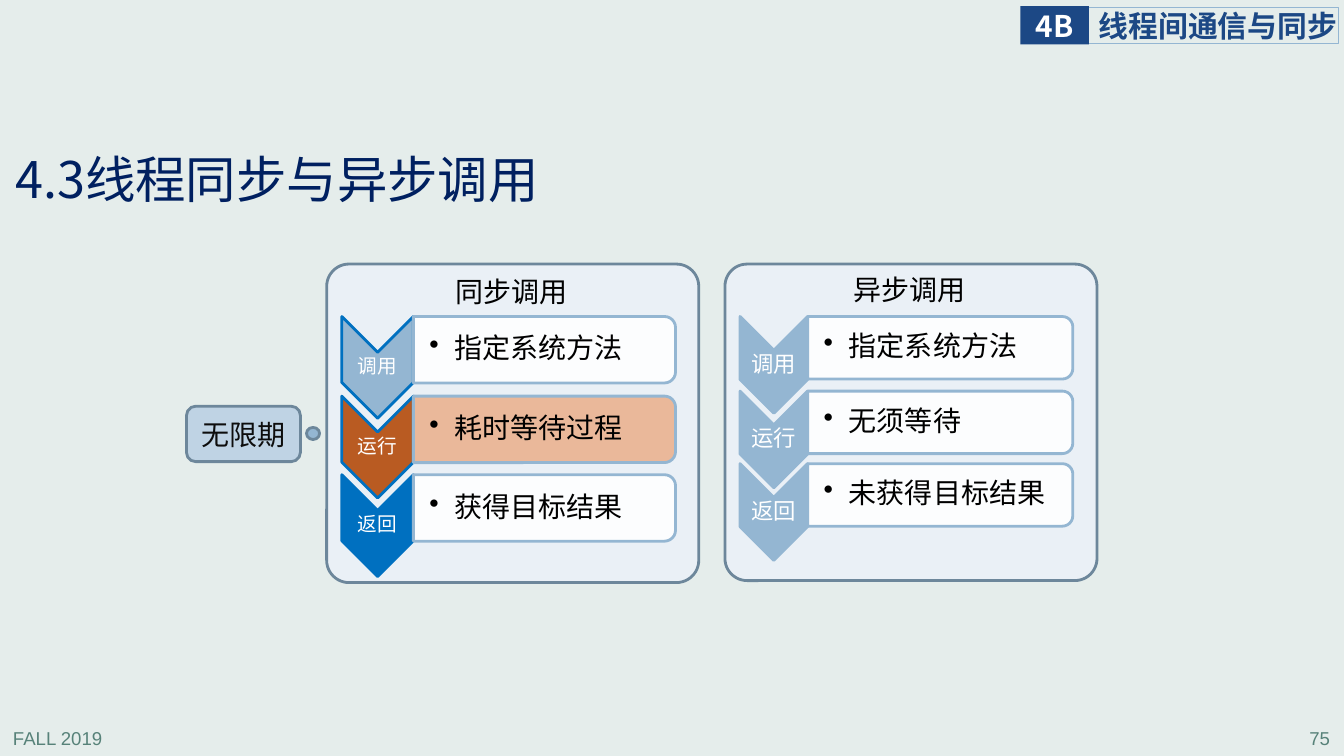
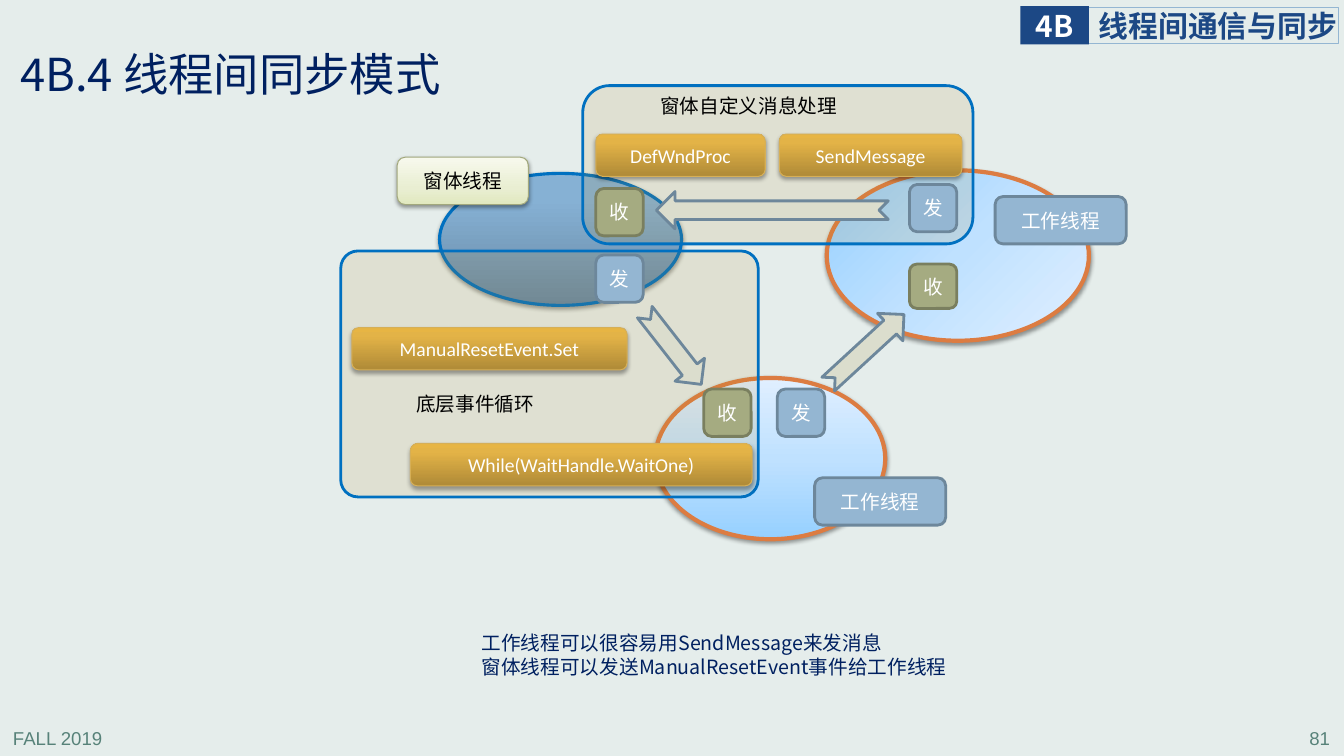
from lxml import etree
from pptx import Presentation
from pptx.dml.color import RGBColor
from pptx.enum.shapes import MSO_SHAPE
from pptx.enum.text import MSO_ANCHOR, MSO_AUTO_SIZE, PP_ALIGN
from pptx.oxml import parse_xml
from pptx.oxml.ns import nsdecls, qn
from pptx.util import Inches, Pt

# Shared colours and fonts
BACKGROUND, NAVY, TITLE, FOOTER = "E5EDEB", "1C4885", "002060", "578279"
SKY, SLATE, BLUE, ORANGE = "94B6D2", "6D879B", "0070C0", "DC7C42"
OLIVE, OLIVE_EDGE, SAND, TAN = "A5AB81", "7A7F5F", "DBDDCD", "BA8F2D"
PANEL, WHITE, BLACK = "EAF0F6", "FFFFFF", "000000"
CJK = "Noto Sans CJK SC"

# Gradients run upwards: (position, colour)
GOLD_STOPS = [(0, "AF8A37"), (80, "E3B347"), (100, "E7B544")]
STEEL_STOPS = [(0, "6788A4"), (80, "86B1D4"), (100, "86B2D7")]
ICE_STOPS = [(0, "96D0FF"), (50, "BFE1FF"), (100, "E0EFFF")]
CREAM_STOPS = [(0, "E1E8BF"), (35, "E9EED2"), (100, "F7F9ED")]
UPWARD = '<a:lin ang="16200000" scaled="0"/>'
FROM_CORNER = '<a:path path="circle"><a:fillToRect r="100000" b="100000"/></a:path>'


def rgb(value):
    return RGBColor.from_string(value)


# Basic elements
def write(sp, text, size, color, font=CJK, bold=False, align=PP_ALIGN.LEFT,
          anchor=MSO_ANCHOR.TOP, insets=(0.1, 0.05, 0.1, 0.05), wrap=True,
          spacing=None):
    tf = sp.text_frame
    tf.text = text
    tf.word_wrap = wrap
    tf.auto_size = MSO_AUTO_SIZE.NONE
    tf.vertical_anchor = anchor
    tf.margin_left, tf.margin_top, tf.margin_right, tf.margin_bottom = map(Inches, insets)
    for p in tf.paragraphs:
        p.alignment = align
        if spacing:
            p.line_spacing = spacing
        for r in p.runs:
            r.font.size, r.font.bold = Pt(size), bold
            r.font.color.rgb = rgb(color)
            r.font.name = font
            etree.SubElement(r.font._element, qn("a:ea"), typeface=CJK)


def add_text(s, box, text, size, color, **style):
    sp = s.shapes.add_textbox(*map(Inches, box))
    write(sp, text, size, color, **style)
    return sp


def add_block(s, kind, box, fill=None, line=None, width=2, opacity=None, adj=None, turn=0):
    sp = s.shapes.add_shape(kind, *map(Inches, box))
    sp.shadow.inherit = False
    sp.rotation = turn
    if adj is not None:
        sp.adjustments[0] = adj
    if fill:
        sp.fill.solid()
        sp.fill.fore_color.rgb = rgb(fill)
    else:
        sp.fill.background()
    if opacity is not None:
        clr = sp._element.spPr.find(qn("a:solidFill")).find(qn("a:srgbClr"))
        etree.SubElement(clr, qn("a:alpha"), val=str(opacity * 1000))
    if line:
        sp.line.color.rgb = rgb(line)
        sp.line.width = Pt(width)
    else:
        sp.line.fill.background()
    return sp


def add_quarter_turned(s, kind, box, **style):
    """Place a shape turned by 90 degrees so that it covers box."""
    x, y, w, h = box
    return add_block(s, kind, (x + (w - h) / 2, y + (h - w) / 2, h, w), turn=90, **style)


def add_gradient(sp, stops, direction=UPWARD):
    stop_xml = "".join(f'<a:gs pos="{pos * 1000}"><a:srgbClr val="{color}"/></a:gs>'
                       for pos, color in stops)
    grad = parse_xml(f'<a:gradFill {nsdecls("a")} rotWithShape="1">'
                     f'<a:gsLst>{stop_xml}</a:gsLst>{direction}</a:gradFill>')
    spPr = sp._element.spPr
    spPr.replace(spPr.find(qn("a:noFill")), grad)


def add_shadow(sp, opacity, dist):
    effects = sp._element.spPr.find(qn("a:effectLst"))
    effects.append(parse_xml(
        f'<a:outerShdw {nsdecls("a")} blurRad="{Pt(3.1)}" dist="{Pt(dist)}" dir="5400000" '
        f'rotWithShape="0"><a:srgbClr val="{BLACK}"><a:alpha val="{opacity * 1000}"/>'
        '</a:srgbClr></a:outerShdw>'))


def add_label(s, box, text, fill=SKY, line=SLATE, size=14, color=WHITE, font=CJK, width=2):
    sp = add_block(s, MSO_SHAPE.ROUNDED_RECTANGLE, box, fill, line, width)
    write(sp, text, size, color, font=font, align=PP_ALIGN.CENTER, anchor=MSO_ANCHOR.MIDDLE)
    return sp


# Title, header band and footer of every slide
def start_slide(prs, title, title_box, title_size, page):
    s = prs.slides.add_slide(prs.slide_layouts[5])
    ph = s.shapes.title
    ph.left, ph.top, ph.width, ph.height = map(Inches, title_box)
    write(ph, title, title_size, TITLE, anchor=MSO_ANCHOR.MIDDLE,
          insets=(0.08, 0.04, 0.08, 0.04), spacing=0.9)
    add_text(s, (0.03, 7.16, 2.78, 0.31), "FALL 2019", 13.3, FOOTER, font="Arial")
    add_text(s, (10.51, 7.16, 2.78, 0.31), page, 13.3, FOOTER, font="Arial",
             align=PP_ALIGN.RIGHT)
    chapter = add_block(s, MSO_SHAPE.RECTANGLE, (10.78, 0.07, 2.5, 0.36), line=SKY, width=0.75)
    write(chapter, "线程间通信与同步", 21.3, NAVY, bold=True,
          anchor=MSO_ANCHOR.MIDDLE, insets=(0.12, 0, 0, 0))
    number = add_block(s, MSO_SHAPE.RECTANGLE, (10.12, 0.06, 0.68, 0.38), NAVY)
    write(number, "4B", 21.3, WHITE, bold=True, align=PP_ALIGN.CENTER,
          anchor=MSO_ANCHOR.MIDDLE, insets=(0, 0, 0, 0), wrap=False)
    return s


# Slide 1: a panel with chevron steps
def add_step(s, x, y, chevron, bar, name, detail, size, font, fill, line, bar_fill):
    cw, ch = chevron
    bw, bh = bar
    tight = (0.01, 0.01, 0.01, 0.01)
    add_quarter_turned(s, MSO_SHAPE.CHEVRON, (x, y, cw, ch), fill=fill, line=line)
    add_text(s, (x, y + cw / 2, cw, ch - cw), name, size, WHITE, font=font,
             align=PP_ALIGN.CENTER, anchor=MSO_ANCHOR.MIDDLE, insets=tight, spacing=0.9)
    add_quarter_turned(s, MSO_SHAPE.ROUND_2_SAME_RECTANGLE, (x + cw, y, bw, bh),
                       fill=bar_fill, line=SKY, opacity=90)
    sp = add_text(s, (x + cw, y + 0.03, bw - 0.03, bh - 0.06), detail, 20, BLACK,
                  anchor=MSO_ANCHOR.MIDDLE, insets=(0.16, 0.01, 0.01, 0.01), spacing=0.9)
    pPr = sp.text_frame.paragraphs[0]._p.get_or_add_pPr()
    pPr.set("marL", str(Inches(0.25)))
    pPr.set("indent", str(-Inches(0.25)))
    etree.SubElement(pPr, qn("a:buChar"), char="•")


def add_call_panel(s, x, height, heading, heading_y, chevron, bar, size, font, steps):
    add_block(s, MSO_SHAPE.ROUNDED_RECTANGLE, (x, 2.62, 3.69, height), PANEL, SLATE, adj=0.07)
    for y, name, detail, fill, line, bar_fill in steps:
        add_step(s, x + 0.15, y, chevron, bar, name, detail, size, font, fill, line, bar_fill)
    add_text(s, (x + 1.18, heading_y, 1.32, 0.44), heading, 20, BLACK, wrap=False)


def build_calls(prs):
    s = start_slide(prs, "4.3线程同步与异步调用", (0.07, 1.42, 6.21, 0.78), 36, "75")
    add_call_panel(s, 7.19, 3.14, "异步调用", 2.65, (0.67, 0.96), (2.63, 0.62), 16, "Calibri", [
        (3.14, "调用", "指定系统方法", SKY, SKY, WHITE),
        (3.88, "运行", "无须等待", SKY, SKY, WHITE),
        (4.6, "返回", "未获得目标结果", SKY, SKY, WHITE),
    ])
    add_call_panel(s, 3.24, 3.16, "同步调用", 2.67, (0.71, 1.01), (2.6, 0.66), 14, CJK, [
        (3.14, "调用", "指定系统方法", SKY, BLUE, WHITE),
        (3.93, "运行", "耗时等待过程", "B95B22", BLUE, "EBB391"),
        (4.71, "返回", "获得目标结果", BLUE, BLUE, WHITE),
    ])
    # Waiting time beside the synchronous call
    add_label(s, (1.85, 4.03, 1.13, 0.55), "无限期", "BFD3E4", size=20, color="0D0D0D")
    add_block(s, MSO_SHAPE.OVAL, (3.04, 4.24, 0.13, 0.12), SKY, SLATE)


# Slide 2: threads, message zones and arrows
def add_thread(s, box, stops, line, width, shadow, direction=UPWARD):
    sp = add_block(s, MSO_SHAPE.OVAL, box, line=line, width=width)
    add_gradient(sp, stops, direction)
    add_shadow(sp, *shadow)


def add_zone(s, box, adj):
    add_block(s, MSO_SHAPE.ROUNDED_RECTANGLE, box, TAN, BLUE, opacity=13, adj=adj)


def add_raised_label(s, box, text, stops, line, color, font, shadow):
    sp = add_label(s, box, text, None, line, color=color, font=font, width=0.75)
    add_gradient(sp, stops)
    add_shadow(sp, *shadow)


def build_modes(prs):
    s = start_slide(prs, "4B.4 线程间同步模式", (0.12, 0.39, 4.77, 0.74), 32.4, "81")
    strong, soft = (38, 1.6), (35, 1.8)

    # Threads and the zones across them
    add_thread(s, (6.5, 3.75, 2.28, 1.6), ICE_STOPS, ORANGE, 3, strong)
    add_thread(s, (4.36, 1.72, 2.4, 1.31), STEEL_STOPS, BLUE, 2.25, soft)
    add_zone(s, (3.38, 2.49, 4.14, 2.44), 0.07)
    add_thread(s, (8.2, 1.69, 2.6, 1.69), ICE_STOPS, ORANGE, 3, strong, FROM_CORNER)
    add_zone(s, (5.78, 0.85, 3.87, 1.57), 0.17)

    # Message arrows
    for x, y, length, turn in [(6.51, 1.9, 2.3, 180), (8.08, 3.28, 1.02, 317.4),
                               (6.22, 3.27, 0.91, 52)]:
        add_block(s, MSO_SHAPE.NOTCHED_RIGHT_ARROW, (x, y, length, 0.37), SAND, SLATE, turn=turn)

    # Calls
    for x, y, w, call in [(7.73, 1.33, 1.81, "SendMessage"),
                          (5.91, 1.33, 1.68, "DefWndProc"),
                          (3.49, 3.25, 2.73, "ManualResetEvent.Set"),
                          (4.07, 4.4, 3.39, "While(WaitHandle.WaitOne)")]:
        add_raised_label(s, (x, y, w, 0.42), call, GOLD_STOPS, "D6AF57", WHITE, "Calibri", soft)

    # Thread names
    add_raised_label(s, (3.94, 1.56, 1.3, 0.47), "窗体线程", CREAM_STOPS, "A2A87D", BLACK,
                     CJK, strong)
    for x, y in [(9.87, 1.95), (8.08, 4.74)]:
        add_label(s, (x, y, 1.3, 0.47), "工作线程")

    # Send and receive ends
    for x, y in [(9.02, 1.83), (7.71, 3.86), (5.91, 2.53)]:
        add_label(s, (x, y, 0.47, 0.47), "发")
    for x, y, h in [(5.91, 1.87, 0.47), (9.02, 2.62, 0.44), (6.98, 3.86, 0.47)]:
        add_label(s, (x, y, 0.47, h), "收", OLIVE, OLIVE_EDGE)

    # Captions
    add_text(s, (6.45, 0.88, 2.47, 0.4), "窗体自定义消息处理", 14, BLACK)
    add_text(s, (4.03, 3.84, 1.73, 0.4), "底层事件循环", 14, BLACK)
    add_text(s, (4.68, 6.21, 4.94, 0.57),
             "工作线程可以很容易用SendMessage来发消息\n"
             "窗体线程可以发送ManualResetEvent事件给工作线程", 14, TITLE, wrap=False)


def main():
    prs = Presentation()
    prs.slide_width, prs.slide_height = Inches(13.33), Inches(7.5)
    fill = prs.slide_master.background.fill
    fill.solid()
    fill.fore_color.rgb = rgb(BACKGROUND)
    build_calls(prs)
    build_modes(prs)
    prs.save("out.pptx")


if __name__ == "__main__":
    main()
